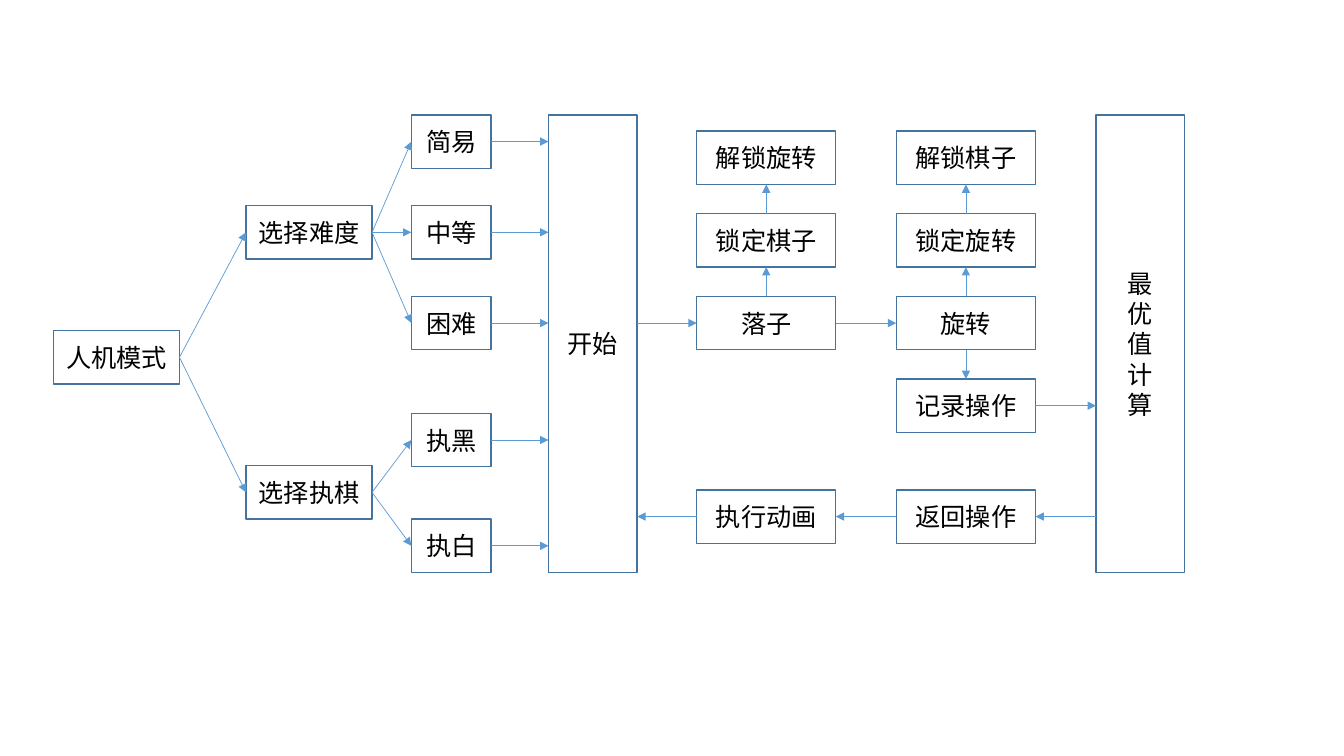
from lxml.etree import SubElement
from pptx import Presentation
from pptx.dml.color import RGBColor
from pptx.enum.shapes import MSO_CONNECTOR as Connector, MSO_SHAPE as Shape
from pptx.enum.text import MSO_ANCHOR as Anchor, PP_ALIGN as Align
from pptx.oxml.ns import qn
from pptx.util import Inches, Pt

WHITE, BLACK, BORDER, ARROW = "FFFFFF", "000000", "43739E", "5B9BD5"
FONT, TEXT_SIZE = "Calibri", 18
BOX_HEIGHT, TALL_TOP, TALL_HEIGHT = 0.53, 1.14, 4.54

COLUMNS = {
    "mode": (0.53, 1.25),
    "choice": (2.44, 1.25),
    "option": (4.08, 0.79),
    "start": (5.44, 0.88),
    "place": (6.91, 1.38),
    "rotate": (8.89, 1.38),
    "compute": (10.87, 0.88),
}
STACKS = [
    ("mode", 3.28, 0, ["人机模式"]),
    ("choice", 2.04, 2.58, ["选择难度", "选择执棋"]),
    ("option", TALL_TOP, 0.9, ["简易", "中等", "困难"]),
    ("option", 4.1, 1.05, ["执黑", "执白"]),
    ("place", 1.3, 0.82, ["解锁旋转", "锁定棋子", "落子"]),
    ("rotate", 1.3, 0.82, ["解锁棋子", "锁定旋转", "旋转", "记录操作"]),
    ("place", 4.86, 0, ["执行动画"]),
    ("rotate", 4.86, 0, ["返回操作"]),
]
TALL_BOXES = [("start", ["开始"]), ("compute", list("最优值计算"))]
START, COMPUTE = "开始", "最优值计算"

TOP, LEFT, BOTTOM, RIGHT = range(4)
FLOWS = [
    (RIGHT, LEFT, [
        ("人机模式", "选择难度"), ("人机模式", "选择执棋"),
        ("选择难度", "简易"), ("选择难度", "中等"), ("选择难度", "困难"),
        ("选择执棋", "执黑"), ("选择执棋", "执白"),
        ("简易", START), ("中等", START), ("困难", START),
        ("执黑", START), ("执白", START),
        (START, "落子"), ("落子", "旋转"), ("记录操作", COMPUTE),
    ]),
    (LEFT, RIGHT, [
        (COMPUTE, "返回操作"), ("返回操作", "执行动画"), ("执行动画", START),
    ]),
    (TOP, BOTTOM, [
        ("落子", "锁定棋子"), ("锁定棋子", "解锁旋转"),
        ("旋转", "锁定旋转"), ("锁定旋转", "解锁棋子"),
    ]),
    (BOTTOM, TOP, [("旋转", "记录操作")]),
]


def color(value):
    return RGBColor.from_string(value)


def add_box(column, top, height, lines):
    left, width = COLUMNS[column]
    box = slide.shapes.add_shape(
        Shape.RECTANGLE, Inches(left), Inches(top), Inches(width), Inches(height))
    box.shadow.inherit = False
    box.fill.solid()
    box.fill.fore_color.rgb = color(WHITE)
    box.line.color.rgb = color(BORDER)
    box.line.width = Pt(1)
    frame = box.text_frame
    frame.word_wrap = True
    frame.vertical_anchor = Anchor.MIDDLE
    for index, line in enumerate(lines):
        para = frame.add_paragraph() if index else frame.paragraphs[0]
        para.alignment = Align.CENTER
        span = para.add_run()
        span.text = line
        span.font.size = Pt(TEXT_SIZE)
        span.font.name = FONT
        span.font.color.rgb = color(BLACK)
    boxes["".join(lines)] = box


def site_point(box, site):
    x = box.left + {LEFT: 0, RIGHT: box.width}.get(site, box.width // 2)
    y = box.top + {TOP: 0, BOTTOM: box.height}.get(site, box.height // 2)
    return x, y


def add_arrow(source, source_site, target, target_site):
    begin_x, begin_y = site_point(boxes[source], source_site)
    end_x, end_y = site_point(boxes[target], target_site)
    tall = (START, COMPUTE)
    if source in tall:
        begin_y = end_y
    if target in tall:
        end_y = begin_y
    arrow = slide.shapes.add_connector(
        Connector.STRAIGHT, begin_x, begin_y, end_x, end_y)
    if source not in tall:
        arrow.begin_connect(boxes[source], source_site)
    if target not in tall:
        arrow.end_connect(boxes[target], target_site)
    arrow.line.color.rgb = color(ARROW)
    arrow.line.width = Pt(0.5)
    SubElement(arrow.line._get_or_add_ln(), qn("a:tailEnd"), type="triangle")
    SubElement(arrow._element.spPr, qn("a:effectLst"))


deck = Presentation()
deck.slide_width, deck.slide_height = Inches(13.33), Inches(7.5)
slide = deck.slides.add_slide(deck.slide_layouts[6])
boxes = {}

for column, top, pitch, labels in STACKS:
    for row, label in enumerate(labels):
        add_box(column, top + row * pitch, BOX_HEIGHT, [label])
for column, lines in TALL_BOXES:
    add_box(column, TALL_TOP, TALL_HEIGHT, lines)
for source_site, target_site, pairs in FLOWS:
    for source, target in pairs:
        add_arrow(source, source_site, target, target_site)

deck.save("out.pptx")
